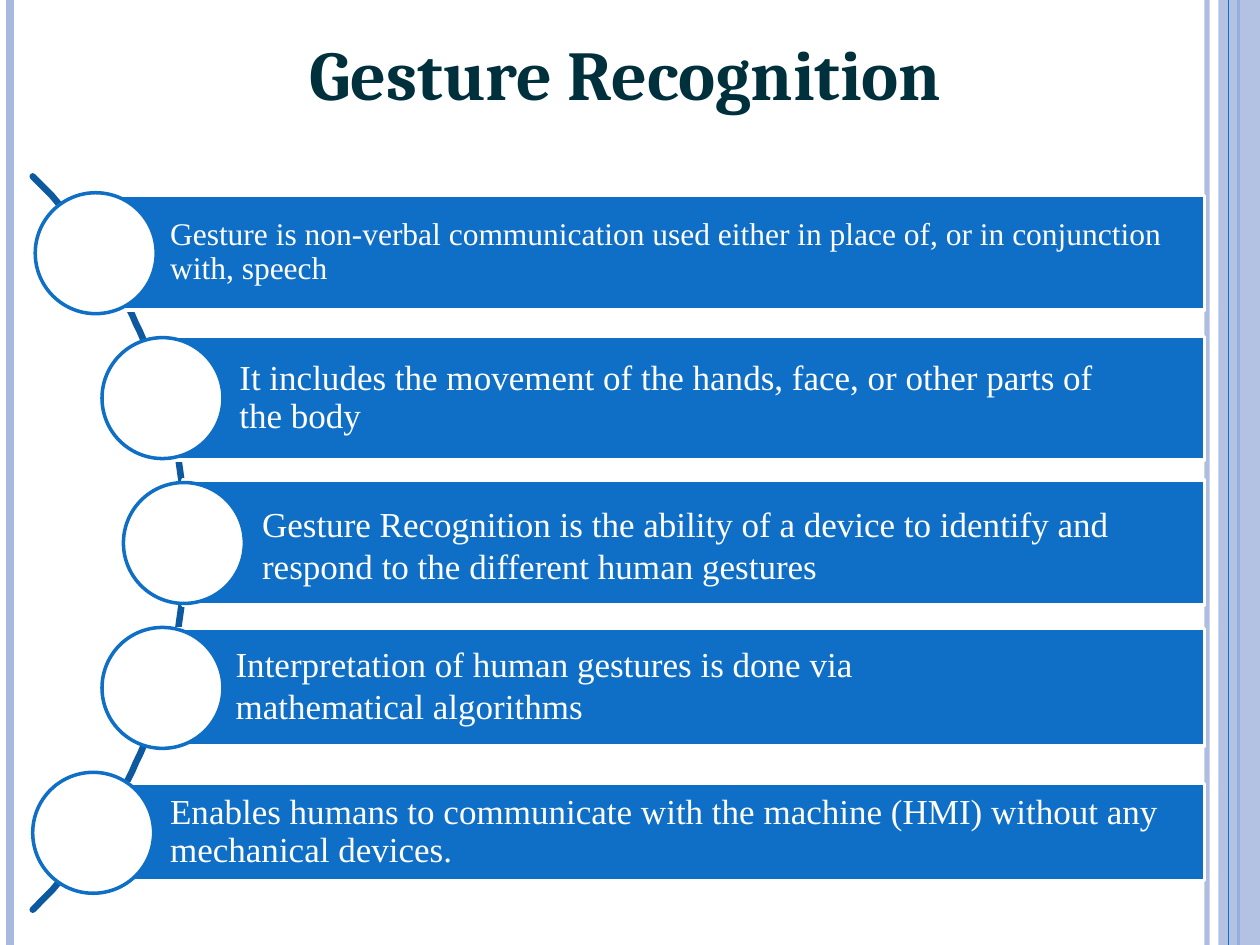
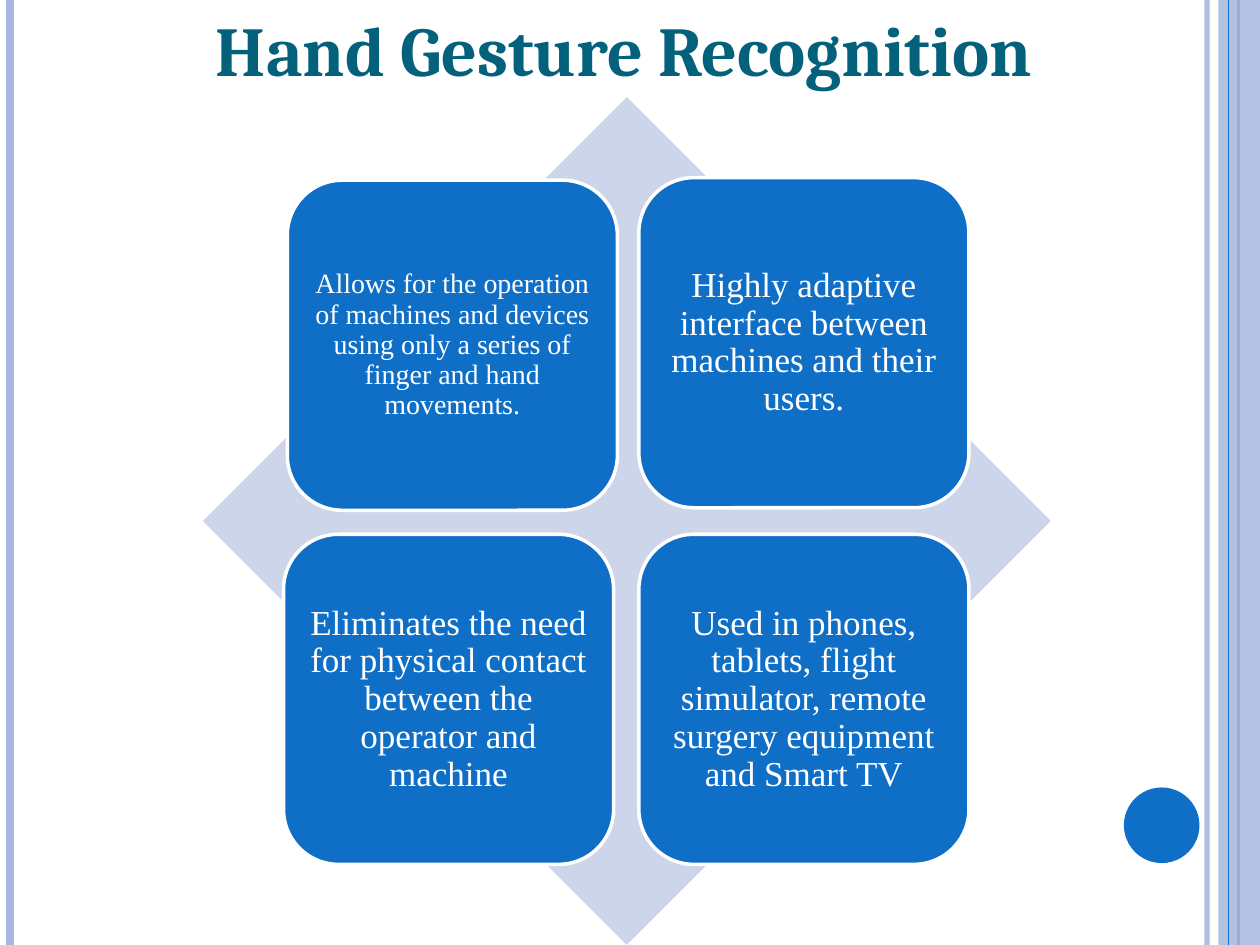
from math import cos, radians, sin

from lxml.etree import SubElement
from pptx import Presentation
from pptx.dml.color import RGBColor
from pptx.enum.shapes import MSO_CONNECTOR as Connector, MSO_SHAPE as Preset
from pptx.enum.text import MSO_ANCHOR as Anchor, MSO_AUTO_SIZE as AutoSize, PP_ALIGN as Align
from pptx.oxml.ns import qn
from pptx.util import Emu, Pt

PX = 9144
SLIDE_WIDTH, SLIDE_HEIGHT = 1000, 750

BLUE = RGBColor(0x0F, 0x6F, 0xC6)
DARK_BLUE = RGBColor(0x0C, 0x59, 0x9F)
PALE_BLUE = RGBColor(0xCC, 0xD5, 0xEA)
BAND_BLUE = RGBColor(0xA8, 0xB9, 0xDF)
DARK_TEAL = RGBColor(0x01, 0x30, 0x3D)
TEAL = RGBColor(0x04, 0x61, 0x7B)
WHITE = RGBColor(0xFF, 0xFF, 0xFF)

TITLE_FONT = "Cambria"
BODY_FONT = "Times New Roman"

CIRCLE_SIZE = 96
CIRCLE_STEP = 115
ARC_RADIUS = 412
CARD_SIZE = 262

FACTS = [
    dict(circle=28, bar=(74, 155, 882, 91), size=18, insets=(61, 5, 5, 5),
         text="Gesture is non-verbal communication used either in place of, or in conjunction with, speech"),
    dict(circle=81, bar=(129, 267, 827, 98), insets=(61, 6, 70, 6),
         text="It includes the movement of the hands, face, or other parts of the body"),
    dict(circle=98, bar=(145, 381, 811, 99), insets=(63, 18, 30, 0), spacing=1.0, anchor=Anchor.TOP,
         text="Gesture Recognition is the ability of a device to identify and respond to "
              "the different human gestures"),
    dict(circle=81, bar=(129, 499, 827, 93), insets=(58, 11, 150, 0), spacing=1.0, anchor=Anchor.TOP,
         text="Interpretation of human gestures is done via mathematical algorithms"),
    dict(circle=26, bar=(74, 622, 882, 77), insets=(61, 6, 6, 6),
         text="Enables humans to communicate with the machine (HMI) without any mechanical devices."),
]

CARDS = [
    (67, 66, 16, "Allows for the operation of machines and devices using only a series of "
                 "finger and hand movements."),
    (346, 64, 20, "Highly adaptive interface between machines and their users."),
    (64, 347, 20, "Eliminates the need for physical contact between the operator and machine"),
    (346, 347, 20, "Used in phones, tablets, flight simulator, remote surgery equipment and Smart TV"),
]


def px(*lengths):
    return [Emu(length * PX) for length in lengths]


def set_alpha(fill_owner, percent):
    color = fill_owner.find(".//" + qn("a:srgbClr"))
    SubElement(color, qn("a:alpha")).set("val", str(percent * 1000))


def add_preset(slide, preset, box, fill, line=None):
    shape = slide.shapes.add_shape(preset, *px(*box))
    shape.shadow.inherit = False
    shape.fill.solid()
    shape.fill.fore_color.rgb = fill
    if line is None:
        shape.line.fill.background()
    else:
        shape.line.color.rgb = line
        shape.line.width = Pt(2)
    return shape


def add_rule(slide, x, color, width, alpha=100):
    rule = slide.shapes.add_connector(Connector.STRAIGHT, *px(x, 0, x, SLIDE_HEIGHT))
    rule.line.color.rgb = color
    rule.line.width = Pt(width)
    SubElement(rule._element.spPr, qn("a:effectLst"))
    if alpha < 100:
        set_alpha(rule._element.spPr, alpha)


def write_text(shape, text, size=20, font=BODY_FONT, color=WHITE, bold=False, align=Align.LEFT,
               anchor=Anchor.MIDDLE, spacing=0.9, insets=(8, 8, 8, 8)):
    frame = shape.text_frame
    frame.word_wrap = True
    frame.auto_size = AutoSize.NONE
    frame.vertical_anchor = anchor
    frame.margin_left, frame.margin_top, frame.margin_right, frame.margin_bottom = px(*insets)
    paragraph = frame.paragraphs[0]
    paragraph.alignment = align
    paragraph.line_spacing = spacing
    run = paragraph.add_run()
    run.text = text
    run.font.size = Pt(size)
    run.font.name = font
    run.font.bold = bold
    run.font.color.rgb = color


def add_frame_bands(slide):
    add_rule(slide, 958, BAND_BLUE, 3, alpha=93)
    add_rule(slide, 8, BAND_BLUE, 4.5)
    add_rule(slide, 983, BLUE, 1.5)
    band = add_preset(slide, Preset.RECTANGLE, (967, 0, 33, SLIDE_HEIGHT), BAND_BLUE)
    set_alpha(band._element.spPr, 87)
    add_rule(slide, 975, BLUE, 0.75)


def add_titled_slide(presentation, title, box, color):
    slide = presentation.slides.add_slide(presentation.slide_layouts[5])
    placeholder = slide.shapes.title
    placeholder.left, placeholder.top, placeholder.width, placeholder.height = px(*box)
    write_text(placeholder, title, size=40, font=TITLE_FONT, color=color, bold=True,
               align=Align.CENTER, anchor=Anchor.TOP, spacing=1.0, insets=(10, 5, 10, 5))
    add_frame_bands(slide)
    return slide


def add_arc(slide, center_x, center_y):
    points = [(round(center_x + ARC_RADIUS * cos(radians(angle)), 2),
               round(center_y + ARC_RADIUS * sin(radians(angle)), 2))
              for angle in range(-45, 46)]
    builder = slide.shapes.build_freeform(*points[0], scale=PX)
    builder.add_line_segments(points[1:], close=False)
    arc = builder.convert_to_shape()
    arc.shadow.inherit = False
    arc.fill.background()
    arc.line.color.rgb = DARK_BLUE
    arc.line.width = Pt(3.75)
    arc.line._get_or_add_ln().set("cap", "rnd")


def add_fact_list(slide, left, top):
    add_arc(slide, left - 291, top + 278)
    for index, fact in enumerate(FACTS):
        text_format = {key: value for key, value in fact.items() if key not in ("circle", "bar")}
        bar = add_preset(slide, Preset.RECTANGLE, fact["bar"], BLUE, WHITE)
        write_text(bar, **text_format)
        circle_box = (fact["circle"], top + index * CIRCLE_STEP, CIRCLE_SIZE, CIRCLE_SIZE)
        add_preset(slide, Preset.OVAL, circle_box, WHITE, BLUE)


def add_card_matrix(slide, left, top, size):
    add_preset(slide, Preset.DIAMOND, (left, top, size, size), PALE_BLUE)
    for x, y, font_size, text in CARDS:
        card = add_preset(slide, Preset.ROUNDED_RECTANGLE,
                          (left + x, top + y, CARD_SIZE, CARD_SIZE), BLUE, WHITE)
        write_text(card, text, size=font_size, align=Align.CENTER)


def main():
    presentation = Presentation()
    presentation.slide_width, presentation.slide_height = px(SLIDE_WIDTH, SLIDE_HEIGHT)

    slide = add_titled_slide(presentation, "Gesture Recognition", (83, 19, 827, 77), DARK_TEAL)
    add_fact_list(slide, 26, 153)

    slide = add_titled_slide(presentation, "Hand Gesture Recognition", (117, 0, 756, 77), TEAL)
    add_preset(slide, Preset.OVAL, (892, 625, 60, 60), BLUE)
    add_card_matrix(slide, 161, 77, 673)

    presentation.save("out.pptx")


if __name__ == "__main__":
    main()
